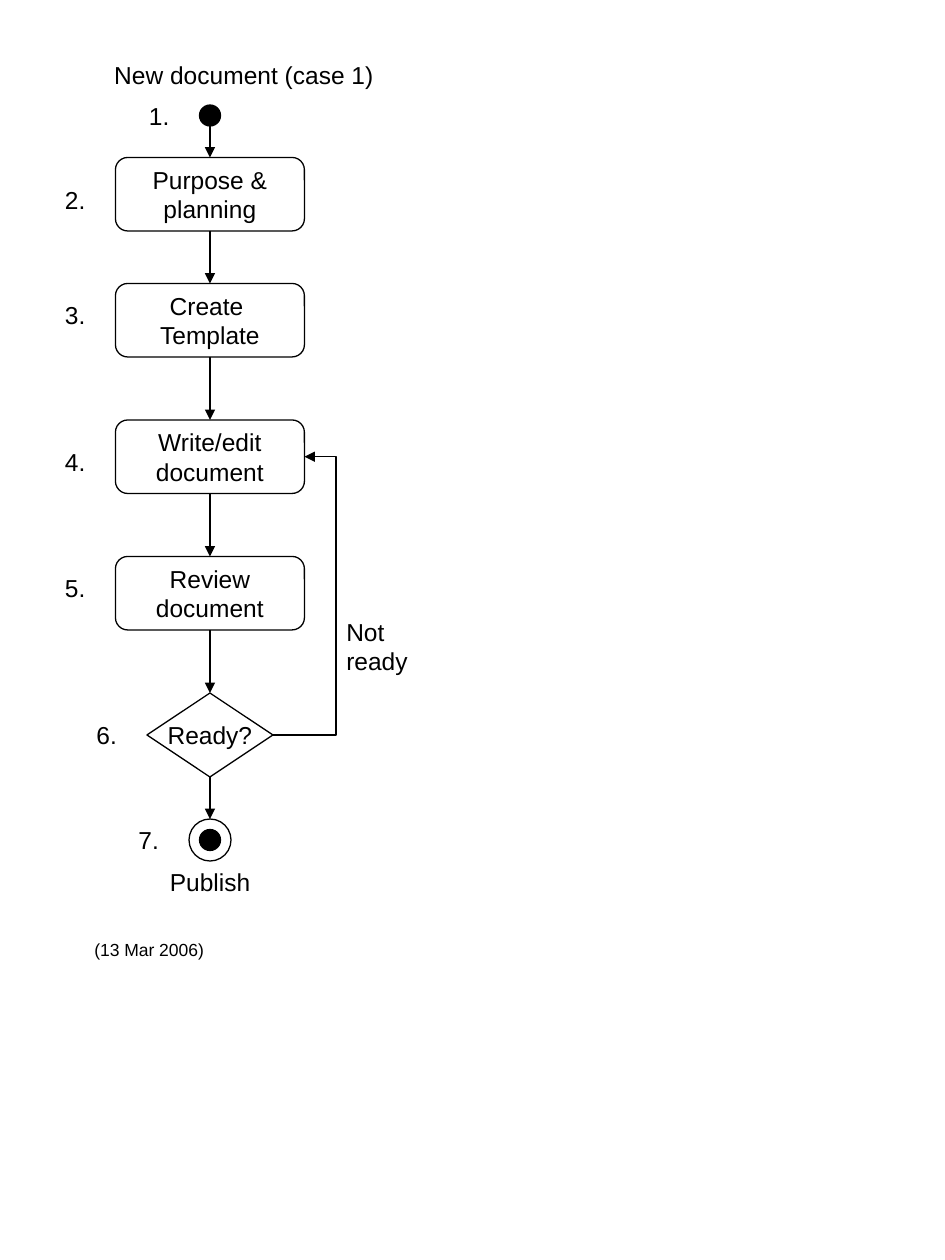
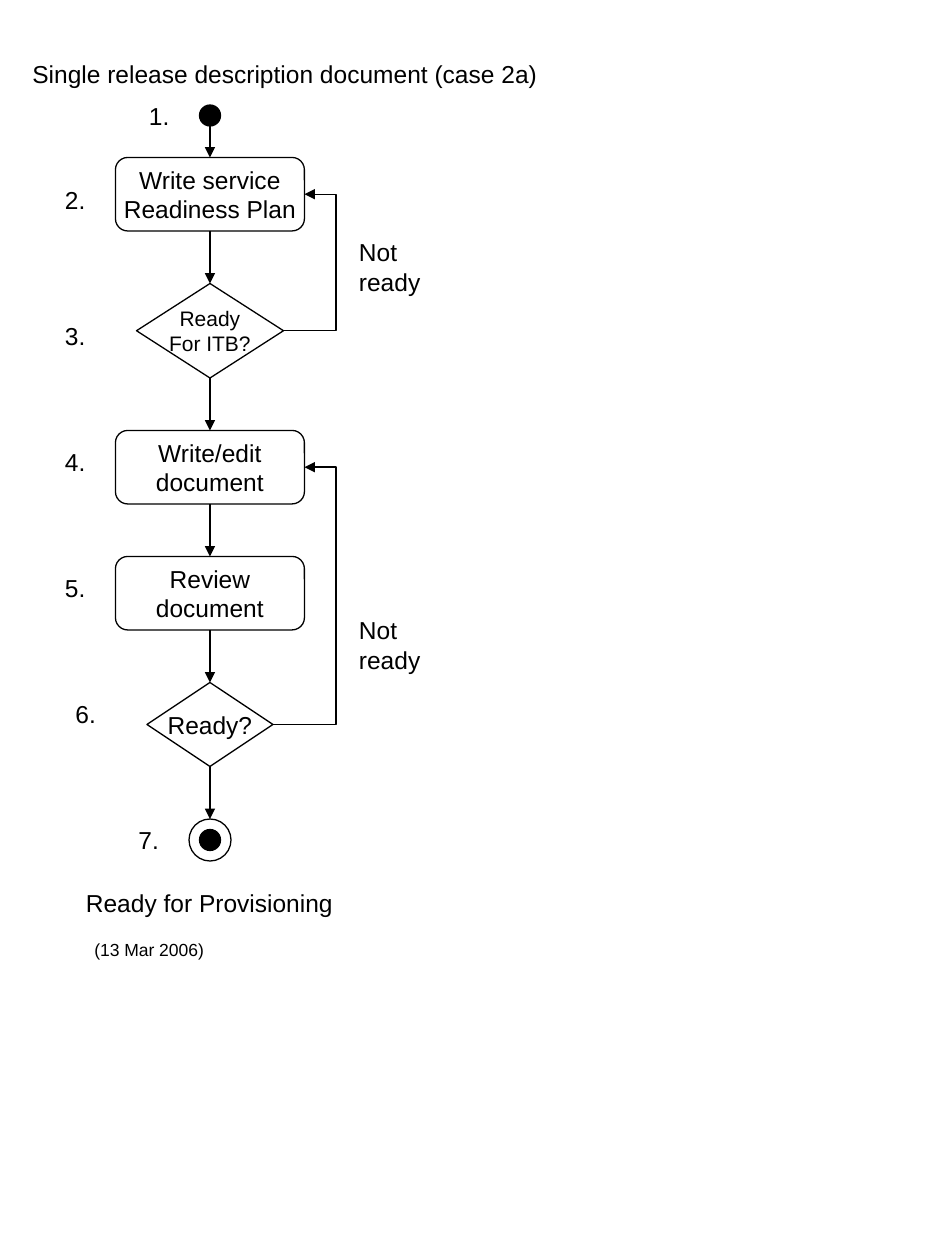
"""Build two document workflow charts on a grid of twelfths of an inch."""
from dataclasses import dataclass
from itertools import pairwise

from lxml.etree import SubElement
from pptx import Presentation
from pptx.dml.color import RGBColor
from pptx.enum.shapes import MSO_CONNECTOR as Route, MSO_SHAPE as Preset
from pptx.enum.text import MSO_ANCHOR as Anchor, MSO_AUTO_SIZE as AutoSize, PP_ALIGN as Align
from pptx.oxml.ns import qn
from pptx.util import Inches, Pt

BLACK = RGBColor(0, 0, 0)
WHITE = RGBColor(255, 255, 255)
FONT = "Arial"
LINE_WIDTH = Pt(0.75)
COLUMNS, ROWS = 90, 120
WIDTH, HEIGHT = Inches(7.5), Inches(10)
AXIS = 20
RETURN_COLUMN = 32
LINE_ROWS = 4
NUMBER_COLUMNS = 4.5


@dataclass(frozen=True)
class Step:
    top: float
    columns: float
    rows: float
    preset: Preset
    text: str = ""
    size: int = 14
    fill: RGBColor = WHITE

    @property
    def bottom(self) -> float:
        return self.top + self.rows

    @property
    def middle(self) -> float:
        return self.top + self.rows / 2

    @property
    def left(self) -> float:
        return AXIS - self.columns / 2

    @property
    def right(self) -> float:
        return AXIS + self.columns / 2


@dataclass(frozen=True)
class Label:
    text: str
    column: float
    row: float
    columns: float
    rows: float = LINE_ROWS
    size: int = 14


@dataclass(frozen=True)
class Workflow:
    steps: tuple[Step, ...]
    returns: tuple[tuple[int, int], ...]
    number_places: tuple[tuple[float, float], ...]
    labels: tuple[Label, ...]


def activity(top: float, text: str) -> Step:
    return Step(top, 18, 7, Preset.ROUNDED_RECTANGLE, text)


def decision(top: float, text: str, columns: float = 12, rows: float = 8, size: int = 14) -> Step:
    return Step(top, columns, rows, Preset.FLOWCHART_DECISION, text, size)


def disc(top: float, diameter: float, fill: RGBColor) -> Step:
    return Step(top, diameter, diameter, Preset.FLOWCHART_CONNECTOR, fill=fill)


def not_ready(column: float, row: float) -> Label:
    return Label("Not\nready", column, row, 8.3, 6.8)


START = disc(10, 2, BLACK)
END = disc(78, 4, WHITE)
END_CORE = disc(79, 2, BLACK)
REVIEW = activity(53, "Review\ndocument")
DATE = Label("(13 Mar 2006)", 7.8, 88.8, 12.8, 3.2, 10)

WORKFLOWS = (
    Workflow(
        (START, activity(15, "Purpose &\nplanning"), activity(27, "Create \nTemplate"),
         activity(40, "Write/edit\ndocument"), REVIEW, decision(66, "Ready?"), END),
        ((5, 3),),
        ((13, 9), (5, 17), (5, 28), (5, 42), (5, 54), (8, 68), (12, 78)),
        (Label("New document (case 1)", 9.7, 5.1, 27.2), not_ready(31.8, 58.15),
         Label("Publish", 15, 82, 10.1), DATE),
    ),
    Workflow(
        (START, activity(15, "Write service\nReadiness Plan"),
         decision(27, "Ready\nFor ITB?", 14, 9, 12),
         activity(41, "Write/edit\ndocument"), REVIEW, decision(65, "Ready?"), END),
        ((2, 1), (5, 3)),
        ((13, 9), (5, 17), (5, 30), (5, 42), (5, 54), (6, 66), (12, 78)),
        (Label("Single release description document (case 2a)", 1.9, 5, 50.5),
         not_ready(33, 22), not_ready(33, 58),
         Label("Ready for Provisioning", 7, 84, 25.9), DATE),
    ),
)


def x(column: float) -> int:
    return round(WIDTH * column / COLUMNS)


def y(row: float) -> int:
    return round(HEIGHT * row / ROWS)


def write(frame, text: str, size: int, align: Align) -> None:
    frame.word_wrap = False
    frame.text = text
    for paragraph in frame.paragraphs:
        paragraph.alignment = align
        paragraph.font.name = FONT
        paragraph.font.size = Pt(size)
        paragraph.font.color.rgb = BLACK


def outline(line) -> None:
    line.color.rgb = BLACK
    line.width = LINE_WIDTH


def draw_step(shapes, step: Step) -> None:
    node = shapes.add_shape(step.preset, x(step.left), y(step.top), x(step.columns), y(step.rows))
    node.shadow.inherit = False
    node.fill.solid()
    node.fill.fore_color.rgb = step.fill
    outline(node.line)
    if step.text:
        node.text_frame.vertical_anchor = Anchor.MIDDLE
        write(node.text_frame, step.text, step.size, Align.CENTER)


def draw_label(shapes, label: Label) -> None:
    box = shapes.add_textbox(x(label.column), y(label.row), x(label.columns), y(label.rows))
    write(box.text_frame, label.text, label.size, Align.LEFT)
    box.text_frame.auto_size = AutoSize.SHAPE_TO_FIT_TEXT


def draw_arrow(shapes, route: Route, begin: tuple[float, float], end: tuple[float, float]):
    arrow = shapes.add_connector(route, x(begin[0]), y(begin[1]), x(end[0]), y(end[1]))
    outline(arrow.line)
    properties = arrow._element.spPr
    SubElement(properties.find(qn("a:ln")), qn("a:tailEnd"), type="triangle")
    SubElement(properties, qn("a:effectLst"))
    return arrow


def draw_return(shapes, source: Step, target: Step) -> None:
    arrow = draw_arrow(shapes, Route.ELBOW, (source.right, source.middle),
                       (target.right, target.middle))
    bend = (RETURN_COLUMN - source.right) / (target.right - source.right)
    geometry = arrow._element.spPr.find(qn("a:prstGeom"))
    guides = geometry.find(qn("a:avLst"))
    if guides is None:
        guides = SubElement(geometry, qn("a:avLst"))
    SubElement(guides, qn("a:gd"), name="adj1", fmla=f"val {round(bend * 100000)}")


def draw_workflow(shapes, workflow: Workflow) -> None:
    *flow, end = workflow.steps
    for step in flow:
        draw_step(shapes, step)
    target = shapes.add_group_shape().shapes
    for ring in (end, END_CORE):
        draw_step(target, ring)
    for upper, lower in pairwise(workflow.steps):
        draw_arrow(shapes, Route.STRAIGHT, (AXIS, upper.bottom), (AXIS, lower.top))
    for source, destination in workflow.returns:
        draw_return(shapes, workflow.steps[source], workflow.steps[destination])
    for number, (column, row) in enumerate(workflow.number_places, 1):
        draw_label(shapes, Label(f"{number}.", column, row, NUMBER_COLUMNS))
    for label in workflow.labels:
        draw_label(shapes, label)


def main() -> None:
    deck = Presentation()
    deck.slide_width, deck.slide_height = WIDTH, HEIGHT
    for workflow in WORKFLOWS:
        slide = deck.slides.add_slide(deck.slide_layouts[6])
        draw_workflow(slide.shapes, workflow)
    deck.save("out.pptx")


if __name__ == "__main__":
    main()
